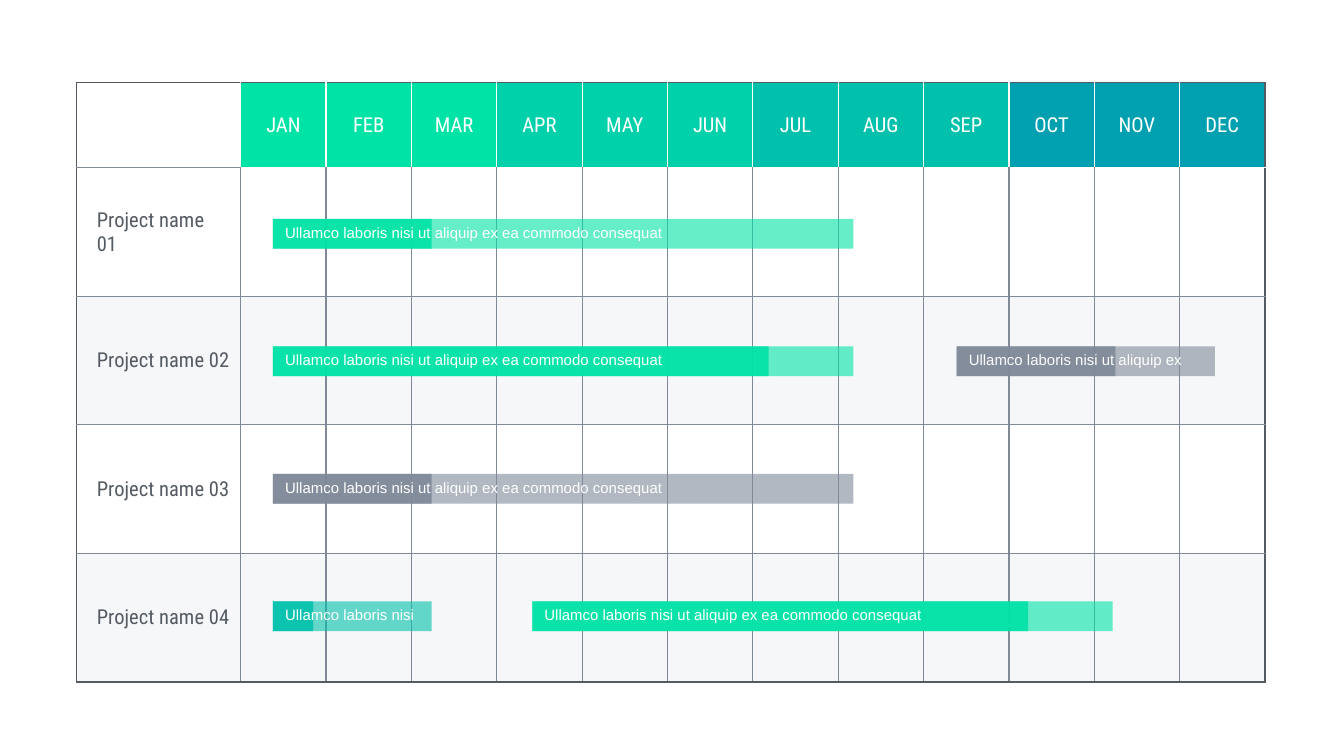
from lxml.etree import SubElement
from pptx import Presentation
from pptx.dml.color import RGBColor
from pptx.enum.shapes import MSO_SHAPE
from pptx.enum.text import MSO_ANCHOR, PP_ALIGN
from pptx.oxml import parse_xml
from pptx.oxml.ns import nsdecls, qn
from pptx.util import Cm, Pt

QUARTERS = [
    ("green", ["JAN", "FEB", "MAR"]),
    ("mint", ["APR", "MAY", "JUN"]),
    ("teal", ["JUL", "AUG", "SEP"]),
    ("blue", ["OCT", "NOV", "DEC"]),
]
PROJECTS = [
    ["Project name", "01"],
    ["Project name 02"],
    ["Project name 03"],
    ["Project name 04"],
]
LONG_TASK = "Ullamco laboris nisi ut aliquip ex ea commodo consequat"
TASKS = [
    dict(project=0, start=5.16, length=10.97, done=3.0, color="green", label=LONG_TASK, label_width=7.9),
    dict(project=3, start=5.16, length=3.0, done=0.76, color="teal", label="Ullamco laboris nisi", label_width=2.87),
    dict(project=1, start=5.16, length=10.97, done=9.37, color="green", label=LONG_TASK, label_width=7.9),
    dict(project=2, start=5.16, length=10.97, done=3.0, color="gray", label=LONG_TASK, label_width=7.9),
    dict(project=3, start=10.06, length=10.97, done=9.37, color="green", label=LONG_TASK, label_width=7.9),
    dict(project=1, start=18.08, length=4.88, done=3.0, color="gray",
         label="Ullamco laboris nisi ut aliquip ex", label_width=4.75),
]
THEME = {
    "colors": {"green": "00E3A6", "mint": "00D1AB", "teal": "02C1AC", "blue": "00A0B1",
               "gray": "7F8998", "dark": "545B63", "white": "FFFFFF", "band": "EEF0F4"},
    "heading": dict(font="Roboto Condensed", size=11),
    "task": dict(font="Arial", size=8),
}
LEFT, TOP, WIDTH = 1.45, 1.56, 22.46
NAME_WIDTH, HEADER_HEIGHT, ROW_HEIGHT = 3.1, 1.61, 2.43
BAR_TOP, BAR_STEP, BAR_HEIGHT = 4.14, 2.41, 0.56
LABEL_INSET, LABEL_DROP, LABEL_HEIGHT = 0.13, 0.03, 0.46


def rgb(name):
    return RGBColor.from_string(THEME["colors"][name])


def write(frame, lines, font, size, color, align=PP_ALIGN.LEFT):
    for index, line in enumerate(lines):
        paragraph = frame.paragraphs[0] if index == 0 else frame.add_paragraph()
        paragraph.alignment = align
        run = paragraph.add_run()
        run.text = line
        run.font.name = font
        run.font.size = Pt(size)
        run.font.color.rgb = rgb(color)


def set_margins(target, left=0.1):
    target.margin_left, target.margin_right = Cm(left), Cm(0.1)
    target.margin_top = target.margin_bottom = Cm(0.05)


def paint(fill, element, color, opacity=100):
    fill.solid()
    fill.fore_color.rgb = rgb(color)
    if opacity < 100:
        tint = next(element.iter(qn("a:srgbClr")))
        SubElement(tint, qn("a:alpha")).set("val", str(opacity * 1000))


def vertical_edge(row, edge, columns):
    if edge in (0, columns):
        return "dark"
    return "white" if row == 0 else "gray"


def horizontal_edge(edge, column, rows):
    if edge in (0, rows):
        return "dark"
    return "white" if edge == 1 and column > 0 else "gray"


def set_borders(cell, row, column, rows, columns):
    edges = {
        "lnL": vertical_edge(row, column, columns),
        "lnR": vertical_edge(row, column + 1, columns),
        "lnT": horizontal_edge(row, column, rows),
        "lnB": horizontal_edge(row + 1, column, rows),
    }
    properties = cell._tc.get_or_add_tcPr()
    for position, (side, color) in enumerate(edges.items()):
        properties.insert(position, parse_xml(
            f'<a:{side} {nsdecls("a")} w="{Pt(0.75)}"><a:solidFill>'
            f'<a:srgbClr val="{THEME["colors"][color]}"/></a:solidFill></a:{side}>'))


def add_calendar(slide):
    months = [(month, color) for color, names in QUARTERS for month in names]
    rows, columns = len(PROJECTS) + 1, len(months) + 1
    height = HEADER_HEIGHT + ROW_HEIGHT * len(PROJECTS)
    calendar = slide.shapes.add_table(rows, columns, Cm(LEFT), Cm(TOP), Cm(WIDTH), Cm(height)).table
    calendar.first_row = calendar.horz_banding = False
    month_width = (WIDTH - NAME_WIDTH) / len(months)
    for index, column in enumerate(calendar.columns):
        column.width = Cm(month_width if index else NAME_WIDTH)
    for index, row in enumerate(calendar.rows):
        row.height = Cm(ROW_HEIGHT if index else HEADER_HEIGHT)

    for row in range(rows):
        for column in range(columns):
            cell = calendar.cell(row, column)
            cell.vertical_anchor = MSO_ANCHOR.MIDDLE
            set_margins(cell, left=0.1 if column else 0.38)
            if row == 0 and column:
                month, color = months[column - 1]
                write(cell.text_frame, [month], color="white", align=PP_ALIGN.CENTER, **THEME["heading"])
                paint(cell.fill, cell._tc, color)
            elif row and row % 2 == 0:
                paint(cell.fill, cell._tc, "band", opacity=50)
            else:
                cell.fill.background()
            if row and column == 0:
                write(cell.text_frame, PROJECTS[row - 1], color="dark", **THEME["heading"])
            set_borders(cell, row, column, rows, columns)


def add_task(slide, project, start, length, done, color, label, label_width):
    task = slide.shapes.add_group_shape().shapes
    top = BAR_TOP + BAR_STEP * project
    for extent, opacity in ((length, 60), (done, 90)):
        bar = task.add_shape(MSO_SHAPE.RECTANGLE, Cm(start), Cm(top), Cm(extent), Cm(BAR_HEIGHT))
        bar.shadow.inherit = False
        bar.line.fill.background()
        paint(bar.fill, bar._element.spPr, color, opacity)
    caption = task.add_textbox(Cm(start + LABEL_INSET), Cm(top + LABEL_DROP),
                               Cm(label_width), Cm(LABEL_HEIGHT)).text_frame
    caption.word_wrap = True
    set_margins(caption)
    write(caption, [label], color="white", **THEME["task"])


def main():
    deck = Presentation()
    deck.slide_width, deck.slide_height = Cm(25.4), Cm(14.29)
    slide = deck.slides.add_slide(deck.slide_layouts[6])
    add_calendar(slide)
    for task in TASKS:
        add_task(slide, **task)
    deck.save("out.pptx")


if __name__ == "__main__":
    main()
